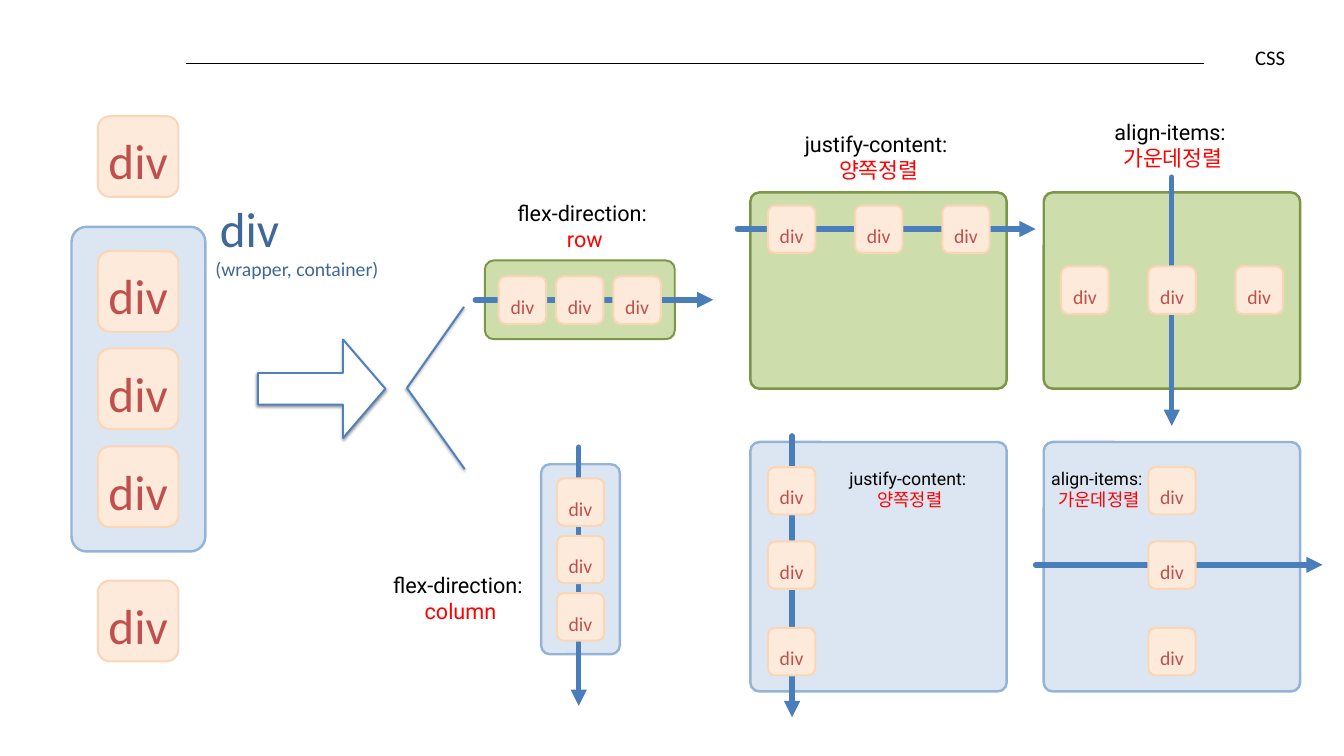
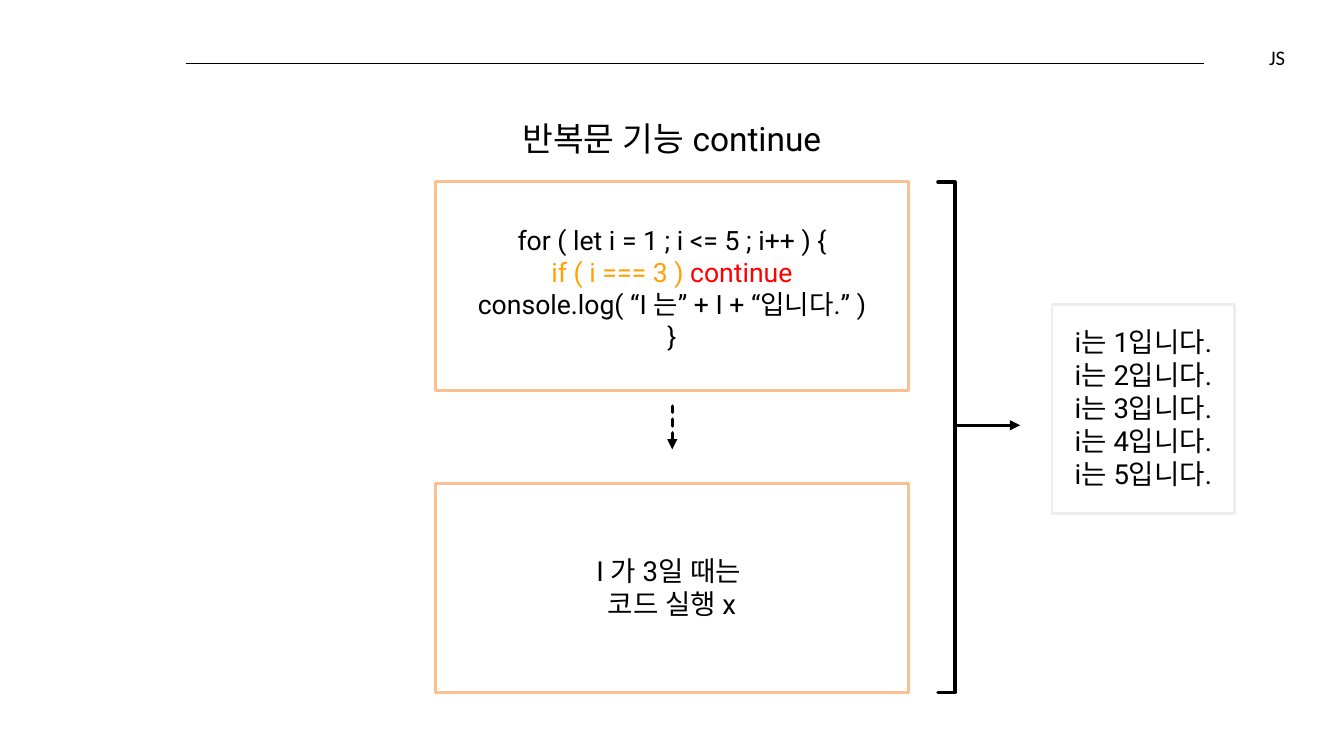
"""Build two lecture slides: CSS flexbox alignment and the JS continue statement."""
from pptx import Presentation
from pptx.dml.color import RGBColor
from pptx.enum.dml import MSO_LINE
from pptx.enum.shapes import MSO_CONNECTOR, MSO_SHAPE
from pptx.enum.text import MSO_ANCHOR, PP_ALIGN
from pptx.oxml import parse_xml
from pptx.oxml.ns import nsdecls, qn
from pptx.util import Pt

STRAIGHT = MSO_CONNECTOR.STRAIGHT
ROUNDED, RECTANGLE = MSO_SHAPE.ROUNDED_RECTANGLE, MSO_SHAPE.RECTANGLE
RIGHT_ARROW = MSO_SHAPE.RIGHT_ARROW
TOP, MIDDLE, BOTTOM = MSO_ANCHOR.TOP, MSO_ANCHOR.MIDDLE, MSO_ANCHOR.BOTTOM
LEFT, CENTER, RIGHT = PP_ALIGN.LEFT, PP_ALIGN.CENTER, PP_ALIGN.RIGHT
DASHED = MSO_LINE.SQUARE_DOT

COLORS = {
    "black": "000000", "white": "FFFFFF", "red": "FF0000", "amber": "FFA100",
    "green": "CDDDAC", "green_edge": "7C9647",
    "blue": "DCE6F2", "blue_edge": "95B3D7",
    "card": "FDEADA", "card_edge": "FCD5B5", "card_text": "C0504D",
    "wrapper_text": "3F6797", "axis": "4A7EBB", "outline": "4F81BD",
    "code_edge": "FAC090", "result_edge": "EDEDED",
}
SHADOW = (
    f'<a:outerShdw {nsdecls("a")} blurRad="38100" dist="20320" dir="5400000" rotWithShape="0">'
    '<a:srgbClr val="000000"><a:alpha val="38000"/></a:srgbClr></a:outerShdw>'
)


def add_line(slide, start, end, color, width, head=False, dash=None, shadow=False):
    connector = slide.shapes.add_connector(STRAIGHT, *(Pt(value) for value in start + end))
    connector.line.color.rgb = RGBColor.from_string(COLORS[color])
    connector.line.width = Pt(width)
    if dash:
        connector.line.dash_style = dash
    properties = connector._element.spPr
    outline = properties.find(qn("a:ln"))
    if width > 3:
        outline.set("cap", "rnd")
    if head:
        outline.append(parse_xml(f'<a:headEnd {nsdecls("a")} type="triangle"/>'))
    effects = parse_xml(f'<a:effectLst {nsdecls("a")}/>')
    properties.append(effects)
    if shadow:
        effects.append(parse_xml(SHADOW))


def add_box(slide, bounds, preset=None, fill=None, edge=None, width=2, adjustments=(),
            paragraphs=(), font="Roboto", inset=3.6, anchor=TOP, align=CENTER):
    bounds = [Pt(value) for value in bounds]
    if preset is None:
        shape = slide.shapes.add_textbox(*bounds)
    else:
        shape = slide.shapes.add_shape(preset, *bounds)
        shape.shadow.inherit = False
        shape.line.color.rgb = RGBColor.from_string(COLORS[edge])
        shape.line.width = Pt(width)
        if fill:
            shape.fill.solid()
            shape.fill.fore_color.rgb = RGBColor.from_string(COLORS[fill])
        else:
            shape.fill.background()
        for index, adjustment in enumerate(adjustments):
            shape.adjustments[index] = adjustment
    frame = shape.text_frame
    frame.word_wrap = True
    frame.vertical_anchor = anchor
    frame.margin_left = frame.margin_right = Pt(inset)
    frame.margin_top = frame.margin_bottom = Pt(inset)
    for index, runs in enumerate(paragraphs):
        paragraph = frame.paragraphs[0] if index == 0 else frame.add_paragraph()
        paragraph.alignment = align
        for text, size, color in runs:
            if text == "\n":
                paragraph.add_line_break()
                continue
            run = paragraph.add_run()
            run.text = text
            run.font.size = Pt(size)
            run.font.color.rgb = RGBColor.from_string(COLORS[color])
            run.font.name = font
            run.font._element.append(parse_xml(f'<a:ea {nsdecls("a")} typeface="{font}"/>'))
    return shape


presentation = Presentation()
presentation.slide_width = Pt(1366)
presentation.slide_height = Pt(768)
slides = []
for title in ("CSS", "JS"):
    slide = presentation.slides.add_slide(presentation.slide_layouts[6])
    add_line(slide, (1223.3, 64.8), (188.6, 64.8), "black", 0.75)
    add_box(slide, (910.8, 46, 395.3, 27.4), paragraphs=[[(title, 21, "black")]],
            font="Calibri", inset=0, align=RIGHT)
    slides.append(slide)
flex_slide, loop_slide = slides

PANEL_LEFT, PANEL_RIGHT, PANEL_WIDTH = 762.6, 1060.8, 260.6
panels = [
    ((72.7, 230.4, 136, 329.8), "blue", 2.5, 0.112),
    ((492.8, 264.6, 193, 80), "green", 2, 0.112),
    ((550, 471.6, 80, 193), "blue", 2.5, 0.112),
]
for left in (PANEL_LEFT, PANEL_RIGHT):
    panels.append(((left, 195.5, PANEL_WIDTH, 199.4), "green", 2.5, 0.046))
    panels.append(((left, 449, PANEL_WIDTH, 253.4), "blue", 2.5, 0.036))
for bounds, color, width, corner in panels:
    add_box(flex_slide, bounds, ROUNDED, color, color + "_edge", width, [corner])

axes = [
    ((725, 304.6), (483.1, 304.6)),
    ((588.2, 717.1), (588.2, 454.3)),
    ((1052.6, 232.6), (749.5, 232.6)),
    ((1190.9, 432.7), (1190.9, 180)),
    ((805, 728.6), (805, 442.8)),
    ((1344.2, 573.8), (1052.6, 573.8)),
]
for tip, tail in axes:
    add_line(flex_slide, tip, tail, "axis", 5.5, head=True)

BIG, SMALL = (82, 50), (48.2, 20)
cards = [(99.4, top, BIG) for top in (118, 255, 354, 453.5, 589.8)]
for index in range(3):
    cards.append((506.9 + 58.3 * index, 280.8, SMALL))
    cards.append((565.9, 486 + 58.3 * index, SMALL))
    cards.append((780.5 + 88.6 * index, 208.8, SMALL))
    cards.append((1078.6 + 88.6 * index, 270.7, SMALL))
for left in (780.5, 1167.1):
    cards += [(left, top, SMALL) for top in (474.5, 550.1, 637.9)]
for left, top, (side, size) in cards:
    add_box(flex_slide, (left, top, side, side), ROUNDED, "card", "card_edge", 2, [0.15],
            [[("div", size, "card_text")]], "Calibri", anchor=BOTTOM)

wrapper_label = add_box(
    flex_slide, (197.3, 198.7, 196.6, 88.6), font="Calibri", anchor=MIDDLE, align=LEFT,
    paragraphs=[[("div", 50, "wrapper_text")], [("(wrapper, container)", 20, "wrapper_text")]])
for paragraph, indent in zip(wrapper_label.text_frame.paragraphs, (22.6, 18)):
    paragraph._p.get_or_add_pPr().set("marL", str(Pt(indent)))

for end in ((471.6, 311.8), (472.3, 476.6)):
    add_line(flex_slide, (413.6, 394.2), end, "outline", 2, shadow=True)
block_arrow = add_box(flex_slide, (262.1, 344.9, 129.6, 100.1), RIGHT_ARROW, "white", "outline",
                      2, [0.32, 0.43])
block_arrow._element.spPr.find(qn("a:effectLst")).append(parse_xml(SHADOW))

labels = [
    ((337.7, 567.4, 260.6, 79.2), "flex-direction: ", "column", 22),
    ((447.1, 189.4, 294.5, 79.2), "flex-direction: ", "row", 22),
    ((745.9, 118.8, 294.5, 80.6), "justify-content: ", "양쪽정렬", 22),
    ((777.6, 461.5, 294.5, 70.6), "justify-content: ", "양쪽정렬", 18),
    ((1044.7, 107.3, 294.5, 80.6), "align-items: ", "가운데정렬", 22),
    ((969.8, 461.5, 294.5, 70.6), "align-items: ", "가운데정렬", 18),
]
for bounds, name, value, size in labels:
    add_box(flex_slide, bounds, inset=13.7,
            paragraphs=[[(name, size, "black")], [(value, size, "red")]])

BOX_LEFT, BOX_WIDTH, BOX_HEIGHT = 442.8, 480.2, 212.4
RESULT_LEFT, RESULT_WIDTH = 1069.2, 185.8
for left, top, width, edge in (
    (BOX_LEFT, 184.3, BOX_WIDTH, "code_edge"),
    (BOX_LEFT, 491, BOX_WIDTH, "code_edge"),
    (RESULT_LEFT, 308.9, RESULT_WIDTH, "result_edge"),
):
    add_box(loop_slide, (left, top, width, BOX_HEIGHT), RECTANGLE, edge=edge, width=3)

BRACKET_LEFT, BRACKET_RIGHT, BRACKET_TOP, BRACKET_BOTTOM = 953.3, 970.6, 185, 703.4
for start, end in (
    ((BRACKET_LEFT, BRACKET_TOP), (BRACKET_RIGHT, BRACKET_TOP)),
    ((BRACKET_RIGHT, BRACKET_TOP), (BRACKET_RIGHT, BRACKET_BOTTOM)),
    ((BRACKET_LEFT, BRACKET_BOTTOM), (BRACKET_RIGHT, BRACKET_BOTTOM)),
):
    add_line(loop_slide, start, end, "black", 3.5)
add_line(loop_slide, (1036.8, 432), (BRACKET_RIGHT, 432), "black", 3.5, head=True)
add_line(loop_slide, (683.3, 456.5), (683.3, 412.6), "black", 3.5, head=True, dash=DASHED)

add_box(loop_slide, (271.4, 106.6, 823, 70.6), inset=13.7,
        paragraphs=[[("반복문 기능 continue", 34, "black")]])
add_box(loop_slide, (344.9, 223.9, 676.1, 136.8), paragraphs=[
    [("for ( let i = 1 ; i <= 5 ; i++ ) {", 27, "black"), ("\n", 27, "black"),
     ("if ( i === 3 ) ", 27, "amber"), ("continue", 27, "red")],
    [("console.log( “I 는” + I + “입니다.” )", 27, "black"), ("\n", 27, "black"),
     ("}", 27, "black")],
])
add_box(loop_slide, (344.9, 559.4, 676.1, 79.2), paragraphs=[
    [("I 가 3일 때는 ", 28, "black")], [("코드 실행 x", 28, "black")]])
add_box(loop_slide, (RESULT_LEFT, 326.2, RESULT_WIDTH, 187.2), paragraphs=[
    [(f"i는 {number}입니다.", 28, "black")] for number in range(1, 6)])

presentation.save("out.pptx")
